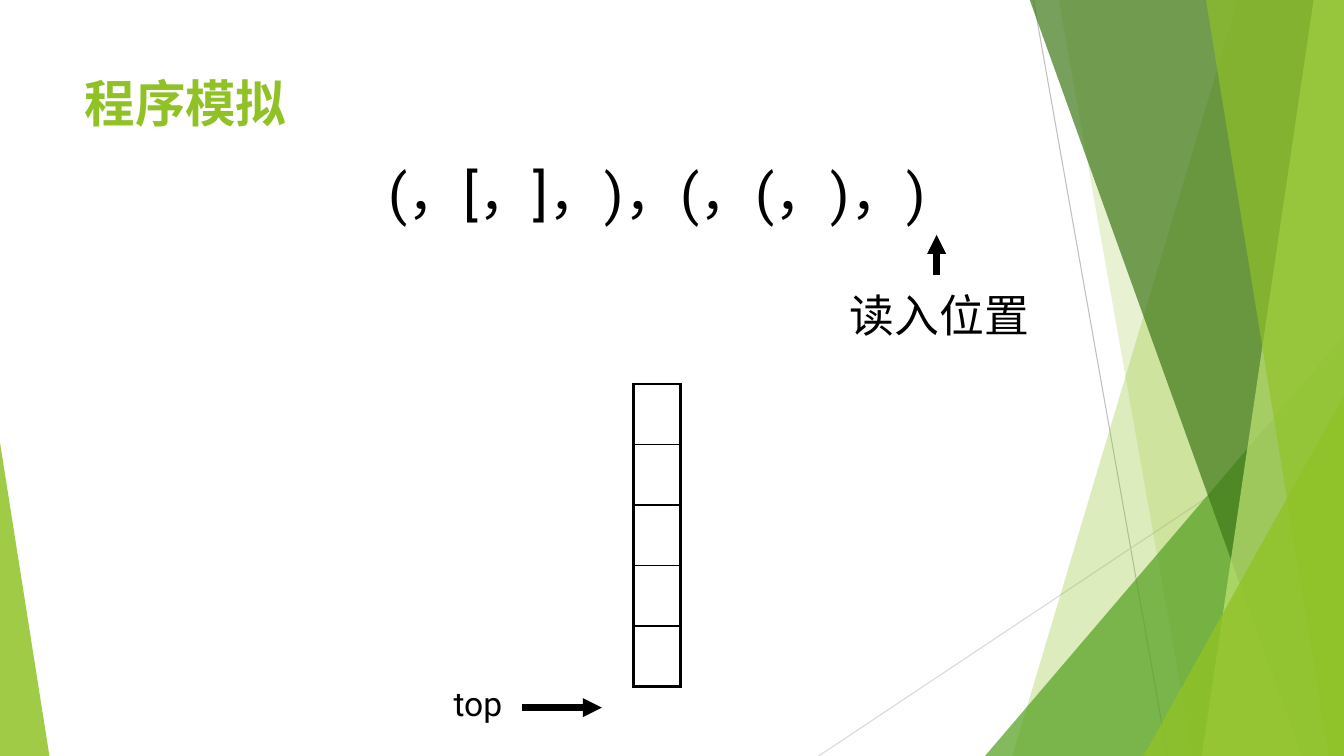
from dataclasses import dataclass

from lxml import etree
from pptx import Presentation
from pptx import util as u
from pptx.dml.color import RGBColor
from pptx.enum import shapes, text
from pptx.oxml.ns import qn


@dataclass(frozen=True)
class Theme:
    font: str = "Roboto"
    ink: str = "000000"
    green: str = "90C226"
    leaf: str = "54A021"
    forest: str = "3F7819"
    lime: str = "C0E474"
    title: int = 36
    brackets: int = 40
    caption: int = 32
    label: int = 24


T = Theme()
W, H, BLEED = 13.33, 7.5, -0.01

TITLE = ("程序模拟", (0.74, 0.67, 9.4, 1.44))
LABELS = [
    ("(，[，]，)，(，(，)，)", (3.75, 1.52, 6.52, 0.77), T.brackets),
    ("读入位置", (8.33, 2.8, 2.03, 1.18), T.caption),
    ("top", (4.4, 6.73, 0.94, 0.51), T.label),
]
ARROWS = [((9.29, 2.73), (9.29, 2.33)), ((5.18, 7.02), (5.97, 7.02))]
STACK = {"left": 6.28, "top": 3.81, "width": 0.47, "row": 0.6, "rows": 5}
THIN, THICK = 1, 2.25

HAIRLINES = [((10.25, 0), (11.58, H), "BFBFBF"), ((W, 4.03), (8.12, H), "D9D9D9")]
FACETS = [
    ("band", (12.28, 10.04), T.green, 30),
    ("band", (10.5, 11.83), T.green, 20),
    ("triangle", (9.77, 3.33, W, 1), T.leaf, 72),
    ("band", (10.21, 12.91), T.forest, 70),
    ("band", (13.03, 11.92), T.lime, 70),
    ("band", (11.96, 13.18), T.green, 65),
    ("triangle", (11.34, 3.93, W, 1), T.green, 80),
    ("triangle", (0, 4.39, 0.49, 0), T.green, 85),
]


def inches(*values):
    return [u.Inches(v) for v in values]


def write(tf, words, *, size, color=T.ink, bold=False):
    tf.word_wrap = True
    tf.auto_size = text.MSO_AUTO_SIZE.NONE
    tf.vertical_anchor = text.MSO_ANCHOR.TOP
    p = tf.paragraphs[0]
    p.alignment = text.PP_ALIGN.LEFT
    r = p.add_run()
    r.text = words
    r.font.name, r.font.size, r.font.bold = T.font, u.Pt(size), bold
    r.font.color.rgb = RGBColor.from_string(color)


def line(parent, start, end, color, width, arrow=False):
    c = parent.add_connector(shapes.MSO_CONNECTOR.STRAIGHT, *inches(*start, *end))
    c.line.color.rgb = RGBColor.from_string(color)
    c.line.width = u.Pt(width)
    sp_pr = c._element.spPr
    if arrow:
        etree.SubElement(sp_pr.find(qn("a:ln")), qn("a:tailEnd"), type="triangle")
    etree.SubElement(sp_pr, qn("a:effectLst"))


def facet(parent, kind, geometry, color, opacity):
    if kind == "band":
        top, bottom = geometry
        builder = parent.build_freeform(*inches(top, BLEED))
        builder.add_line_segments([inches(W, BLEED), inches(W, H), inches(bottom, H)])
        sp = builder.convert_to_shape()
    else:
        left, top, right, apex = geometry
        sp = parent.add_shape(shapes.MSO_SHAPE.ISOSCELES_TRIANGLE,
                              *inches(left, top, right - left, H - top))
        sp.adjustments[0] = apex
    sp.shadow.inherit = False
    sp.line.fill.background()
    sp.fill.solid()
    sp.fill.fore_color.rgb = RGBColor.from_string(color)
    clr = sp._element.spPr.find(".//" + qn("a:srgbClr"))
    etree.SubElement(clr, qn("a:alpha"), val=str(opacity * 1000))


def border(cell, **widths):
    tc_pr = cell._tc.get_or_add_tcPr()
    for i, (side, width) in enumerate(widths.items()):
        ln = etree.Element(qn("a:ln" + side), w=str(u.Pt(width)))
        fill = etree.SubElement(ln, qn("a:solidFill"))
        etree.SubElement(fill, qn("a:srgbClr"), val=T.ink)
        tc_pr.insert(i, ln)


def draw_stack(parent):
    rows, row = STACK["rows"], STACK["row"]
    frame = parent.add_table(rows, 1, *inches(
        STACK["left"], STACK["top"], STACK["width"], rows * row))
    table = frame.table
    table.first_row = table.horz_banding = False
    for i in range(rows):
        table.rows[i].height = u.Inches(row)
        cell = table.cell(i, 0)
        cell.fill.background()
        border(cell, L=THICK, R=THICK, T=THICK if i == 0 else THIN,
               B=THICK if i == rows - 1 else THIN)


def main():
    prs = Presentation()
    prs.slide_width, prs.slide_height = inches(W, H)
    s = prs.slides.add_slide(prs.slide_layouts[5])
    title = s.shapes.title
    decor = s.shapes.add_group_shape().shapes
    for start, end, color in HAIRLINES:
        line(decor, start, end, color, 0.75)
    for item in FACETS:
        facet(decor, *item)

    s.shapes._spTree.append(title._element)
    words, box = TITLE
    title.left, title.top, title.width, title.height = inches(*box)
    write(title.text_frame, words, size=T.title, color=T.green, bold=True)

    draw_stack(s.shapes)
    for words, box, size in LABELS:
        write(s.shapes.add_textbox(*inches(*box)).text_frame, words, size=size)
    for start, end in ARROWS:
        line(s.shapes, start, end, T.ink, 4.5, arrow=True)
    prs.save("out.pptx")


if __name__ == "__main__":
    main()
